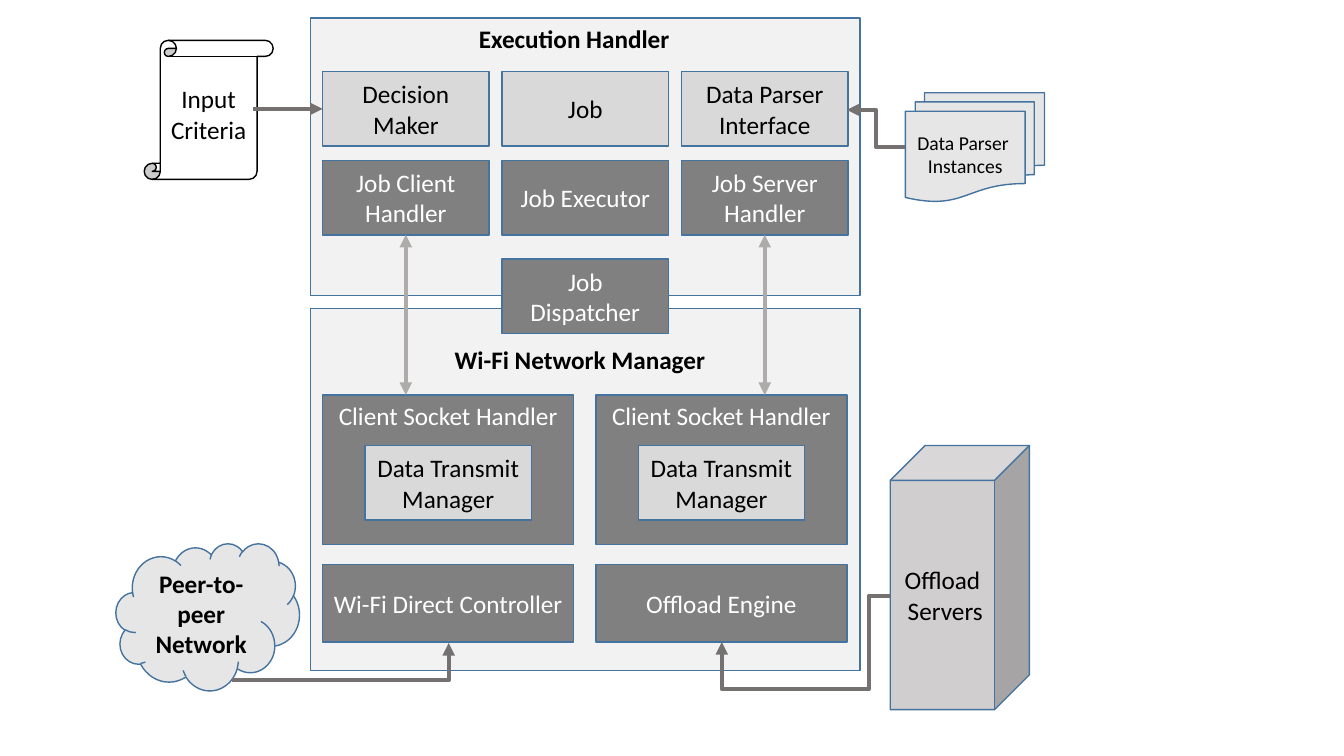
"""Builds the offloading framework architecture slide."""
from lxml import etree
from pptx import Presentation
from pptx.dml.color import RGBColor
from pptx.enum.shapes import MSO_CONNECTOR, MSO_SHAPE
from pptx.enum.text import MSO_ANCHOR, PP_ALIGN
from pptx.oxml.ns import qn
from pptx.util import Inches, Pt

RECT, SCROLL, CLOUD, CUBE = (MSO_SHAPE.RECTANGLE, MSO_SHAPE.VERTICAL_SCROLL,
                             MSO_SHAPE.CLOUD, MSO_SHAPE.CUBE)
DOCUMENTS = MSO_SHAPE.FLOWCHART_MULTIDOCUMENT
STRAIGHT, ELBOW = MSO_CONNECTOR.STRAIGHT, MSO_CONNECTOR.ELBOW
TOP, MIDDLE, CENTER = MSO_ANCHOR.TOP, MSO_ANCHOR.MIDDLE, PP_ALIGN.CENTER
SIDE_TOP, SIDE_LEFT, SIDE_BOTTOM = 0, 1, 2

BLACK, WHITE = RGBColor(0, 0, 0), RGBColor(255, 255, 255)
PANEL, LIGHT, DARK = (RGBColor(0xF2, 0xF2, 0xF2), RGBColor(0xD9, 0xD9, 0xD9),
                      RGBColor(0x80, 0x80, 0x80))
PALE, SERVER = RGBColor(0xE7, 0xE6, 0xE6), RGBColor(0xD0, 0xCE, 0xCE)
OUTLINE = RGBColor(0x43, 0x73, 0x9E)
FLOW, EXCHANGE = RGBColor(0x76, 0x71, 0x71), RGBColor(0xAF, 0xAB, 0xAB)

PANELS = [(0.18, 2.75), (3.06, 3.59)]
HEADINGS = [("Execution Handler", 4.65, 0.18, 2.31),
            ("Wi-Fi Network Manager", 4.41, 3.37, 2.78)]
HANDLER_ROWS = [
    (0.71, LIGHT, BLACK, ["Decision Maker", "Job", "Data Parser\nInterface"]),
    (1.59, DARK, WHITE, ["Job Client Handler", "Job Executor", "Job Server Handler"]),
]
DISPATCHER = "Job Dispatcher"
NETWORK_COLUMNS = [
    ("Client Socket Handler", "Data Transmit Manager", "Wi-Fi Direct Controller"),
    ("Client Socket Handler", "Data Transmit Manager", "Offload Engine"),
]
OUTSIDE = [
    (SCROLL, "Input\nCriteria", (1.43, 0.4, 1.28, 1.38), WHITE, BLACK, 18, False),
    (DOCUMENTS, "Data Parser \nInstances", (8.98, 0.92, 1.38, 1.08), PALE, OUTLINE, 14, False),
    (CUBE, "Offload\n Servers", (8.83, 4.42, 1.38, 2.62), SERVER, OUTLINE, 18, False),
    (CLOUD, "Peer-to-peer Network", (1.15, 5.39, 1.82, 1.46), PALE, OUTLINE, 18, True),
]
ELBOWS = [
    ((8.98, 1.46), (8.4, 1.09), "bentConnector3", []),
    ((8.83, 5.91), (7.16, 6.37), "bentConnector4", [12800, 201400]),
    ((2.3, 6.75), (4.45, 6.38), "bentConnector2", []),
]

PANEL_LEFT, PANEL_WIDTH = 3.08, 5.45
LEFT, BOX_W, BOX_H, BOX_PITCH = 3.2, 1.65, 0.74, 1.78
WIDE_W, WIDE_PITCH = 2.49, 2.71
SOCKET_TOP, SOCKET_H, TRANSMIT_TOP = 3.92, 1.48, 4.42
CONTROL_TOP, CONTROL_H, DISPATCHER_TOP = 5.6, 0.77, 2.57

prs = Presentation()
prs.slide_width, prs.slide_height = Inches(13.33), Inches(7.5)
shapes = prs.slides.add_slide(prs.slide_layouts[6]).shapes


def write(holder, text, color, size=18, bold=False, align=CENTER, anchor=MIDDLE):
    frame = holder.text_frame
    frame.word_wrap = True
    frame.vertical_anchor = anchor
    frame.text = text
    for paragraph in frame.paragraphs:
        paragraph.alignment = align
        font = paragraph.font
        font.name, font.size, font.bold = "Calibri", Pt(size), bold
        font.color.rgb = color


def block(kind, place, fill, text="", color=BLACK, outline=OUTLINE, **style):
    part = shapes.add_shape(kind, *map(Inches, place))
    part.shadow.inherit = False
    part.fill.solid()
    part.fill.fore_color.rgb = fill
    part.line.color.rgb = outline
    part.line.width = Pt(1)
    if text:
        write(part, text, color, **style)
    return part


def arrow(kind, start, end, color, both_ends=False):
    link = shapes.add_connector(kind, *map(Inches, start + end))
    link.line.color.rgb = color
    link.line.width = Pt(3)
    line = link.line._get_or_add_ln()
    for tag in ["a:headEnd", "a:tailEnd"] if both_ends else ["a:tailEnd"]:
        etree.SubElement(line, qn(tag), type="triangle")
    etree.SubElement(link._element.spPr, qn("a:effectLst"))
    return link


for top, height in PANELS:
    block(RECT, (PANEL_LEFT, top, PANEL_WIDTH, height), PANEL)
for text, left, top, width in HEADINGS:
    heading = shapes.add_textbox(*map(Inches, (left, top, width, 0.4)))
    write(heading, text, BLACK, bold=True, align=PP_ALIGN.LEFT, anchor=TOP)

handlers = [[block(RECT, (LEFT + column * BOX_PITCH, top, BOX_W, BOX_H), fill, text, color)
             for column, text in enumerate(texts)]
            for top, fill, color, texts in HANDLER_ROWS]
block(RECT, (LEFT + BOX_PITCH, DISPATCHER_TOP, BOX_W, BOX_H), DARK, DISPATCHER, WHITE)

for column, (socket, transmit, control) in enumerate(NETWORK_COLUMNS):
    left = LEFT + column * WIDE_PITCH
    block(RECT, (left, SOCKET_TOP, WIDE_W, SOCKET_H), DARK, socket, WHITE, anchor=TOP)
    block(RECT, (left + (WIDE_W - BOX_W) / 2, TRANSMIT_TOP, BOX_W, BOX_H), LIGHT, transmit)
    block(RECT, (left, CONTROL_TOP, WIDE_W, CONTROL_H), DARK, control, WHITE)

for kind, text, place, fill, outline, size, bold in OUTSIDE:
    block(kind, place, fill, text, outline=outline, size=size, bold=bold)

decision_maker = handlers[0][0]
input_link = arrow(STRAIGHT, (2.51, 1.08), (LEFT, 1.08), FLOW)
input_link.end_connect(decision_maker, SIDE_LEFT)
for column in (0, 2):
    middle = LEFT + column * BOX_PITCH + BOX_W / 2
    exchange = arrow(STRAIGHT, (middle, 2.33), (middle, SOCKET_TOP), EXCHANGE, both_ends=True)
    exchange.begin_connect(handlers[1][column], SIDE_BOTTOM)
for start, end, preset, bends in ELBOWS:
    geometry = arrow(ELBOW, start, end, FLOW)._element.spPr.find(qn("a:prstGeom"))
    geometry.set("prst", preset)
    for number, bend in enumerate(bends, 1):
        etree.SubElement(geometry.find(qn("a:avLst")), qn("a:gd"),
                         name=f"adj{number}", fmla=f"val {bend}")

prs.save("out.pptx")
